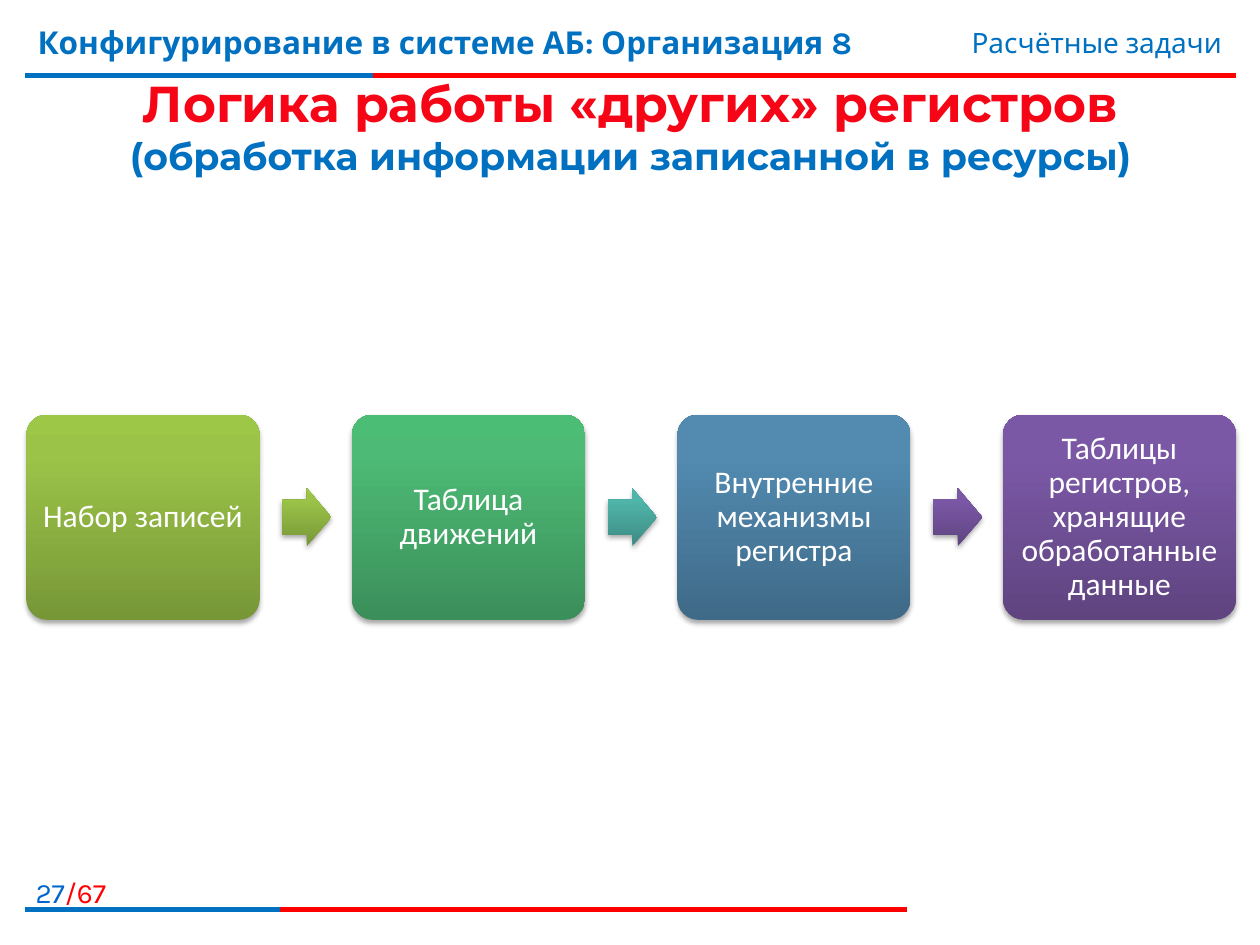
from dataclasses import dataclass

from lxml import etree
from pptx import Presentation
from pptx.dml.color import RGBColor
from pptx.enum import shapes, text
from pptx.oxml import ns
from pptx.util import Inches, Pt


@dataclass(frozen=True)
class Theme:
    blue: str = "0070C0"
    number_blue: str = "0066CC"
    red: str = "FF0000"
    title_red: str = "F50516"
    title_dark: str = "C00000"
    white: str = "FFFFFF"
    header_font: str = "Karla"
    title_font: str = "Montserrat"
    body_font: str = "Calibri"
    small: float = 16
    body: float = 18
    subtitle: float = 21.6
    title: float = 28.8
    # Gradients run from the bottom edge to the top
    green: tuple = ("779737", "9BC348", "9DC746")
    emerald: tuple = ("3B8F5A", "4DBA75", "4BBD75")
    teal: tuple = ("3D8B83", "50B5AA", "4EB8AC")
    steel: tuple = ("3F6A88", "528AB0", "518BB3")
    purple: tuple = ("5F4480", "7B58A6", "7C57A8")


T = Theme()

STEPS = [
    ("Набор записей", T.green),
    ("Таблица движений", T.emerald),
    ("Внутренние механизмы регистра", T.steel),
    ("Таблицы регистров, хранящие обработанные данные", T.purple),
]
ARROWS = [T.green, T.teal, T.purple]

LEFT, RIGHT = 0.21, 9.81
BOX_W, BOX_H, BOX_TOP = 1.85, 1.63, 3.29
ARROW_W, ARROW_H, ARROW_OFFSET = 0.39, 0.46, 2.03


def style(r, font, size, color, bold=False):
    r.font.name = font
    r.font.size = Pt(size)
    r.font.bold = bold
    r.font.color.rgb = RGBColor.from_string(color)


def add_rule(s, y, end, color):
    line = s.shapes.add_connector(
        shapes.MSO_CONNECTOR.STRAIGHT, Inches(0.2), Inches(y), Inches(end), Inches(y))
    line.line.color.rgb = RGBColor.from_string(color)
    line.line.width = Pt(3)
    etree.SubElement(line._element.spPr, ns.qn("a:effectLst"))


def add_two_tone_rule(s, y, end, blue_end):
    add_rule(s, y, end, T.red)
    add_rule(s, y, blue_end, T.blue)


def add_label(s, box, runs, size, align=text.PP_ALIGN.LEFT, bold=False):
    """Add a one-line text box; runs is a list of (text, colour)."""
    tf = s.shapes.add_textbox(*map(Inches, box)).text_frame
    tf.word_wrap = True
    p = tf.paragraphs[0]
    p.alignment = align
    for words, color in runs:
        r = p.add_run()
        r.text = words
        style(r, T.header_font, size, color, bold)


def add_glossy_shape(s, kind, box, colors, adjustments):
    """Add a preset shape with a vertical gradient and a soft shadow below."""
    sp = s.shapes.add_shape(kind, *map(Inches, box))
    for i, value in enumerate(adjustments):
        sp.adjustments[i] = value
    sp.line.fill.background()
    stops = "".join(
        f'<a:gs pos="{pos * 1000}"><a:srgbClr val="{color}"/></a:gs>'
        for pos, color in zip((0, 80, 100), colors))
    grad = etree.fromstring(
        f'<a:gradFill {ns.nsdecls("a")} rotWithShape="1"><a:gsLst>{stops}</a:gsLst>'
        '<a:lin ang="16200000" scaled="0"/></a:gradFill>')
    shadow = etree.fromstring(
        f'<a:effectLst {ns.nsdecls("a")}><a:outerShdw blurRad="{Pt(3.1)}" '
        f'dist="{Pt(1.8)}" dir="5400000" rotWithShape="0"><a:srgbClr val="000000">'
        '<a:alpha val="35000"/></a:srgbClr></a:outerShdw></a:effectLst>')
    sp_pr = sp._element.spPr
    sp_pr.find(ns.qn("a:prstGeom")).addnext(grad)
    sp_pr.append(shadow)
    return sp


def add_step(s, x, words, colors):
    sp = add_glossy_shape(s, shapes.MSO_SHAPE.ROUNDED_RECTANGLE,
                          (x, BOX_TOP, BOX_W, BOX_H), colors, [0.1])
    tf = sp.text_frame
    tf.word_wrap = True
    tf.vertical_anchor = text.MSO_ANCHOR.MIDDLE
    tf.margin_left = tf.margin_right = Inches(0.07)
    tf.margin_top = tf.margin_bottom = Inches(0.07)
    tf.text = words
    p = tf.paragraphs[0]
    p.alignment = text.PP_ALIGN.CENTER
    p.line_spacing = 0.9
    style(p.runs[0], T.body_font, T.body, T.white)


def add_process(s):
    pitch = (RIGHT - LEFT - BOX_W) / (len(STEPS) - 1)
    arrow_top = BOX_TOP + (BOX_H - ARROW_H) / 2
    for i, (words, colors) in enumerate(STEPS):
        add_step(s, LEFT + i * pitch, words, colors)
    for i, colors in enumerate(ARROWS):
        box = (LEFT + i * pitch + ARROW_OFFSET, arrow_top, ARROW_W, ARROW_H)
        add_glossy_shape(s, shapes.MSO_SHAPE.RIGHT_ARROW, box, colors, [0.6, 0.5])


def set_title(s, heading, subheading):
    sp = s.shapes.title
    sp.left, sp.top, sp.width, sp.height = map(Inches, (0.2, 0.6, 9.61, 0.79))
    tf = sp.text_frame
    tf.text = f"{heading}\v{subheading}"
    tf.word_wrap = True
    tf.auto_size = text.MSO_AUTO_SIZE.NONE
    tf.vertical_anchor = text.MSO_ANCHOR.MIDDLE
    p = tf.paragraphs[0]
    p.alignment = text.PP_ALIGN.CENTER
    top, bottom = p.runs
    style(top, T.title_font, T.title, T.title_red, bold=True)
    style(bottom, T.title_font, T.subtitle, T.blue, bold=True)
    fill = top.font.fill
    fill.gradient()
    fill.gradient_angle = 270
    stops = ((0.55, T.title_red), (0.86, T.title_dark))
    for stop, (position, color) in zip(fill.gradient_stops, stops):
        stop.position = position
        stop.color.rgb = RGBColor.from_string(color)


def main():
    prs = Presentation()
    prs.slide_width, prs.slide_height = Inches(10), Inches(7.5)
    s = prs.slides.add_slide(prs.slide_layouts[5])
    right = text.PP_ALIGN.RIGHT

    add_two_tone_rule(s, 0.6, 9.81, 2.96)
    add_label(s, (0, 6.9, 0.94, 0.32), [("27", T.number_blue), ("/67", T.red)],
              T.small, right)
    add_two_tone_rule(s, 7.22, 7.2, 2.22)
    add_label(s, (0.2, 0.13, 7.4, 0.62),
              [("Конфигурирование в системе АБ: Организация 8", T.blue)],
              T.body, bold=True)
    add_label(s, (5.94, 0.15, 3.86, 0.37), [("Расчётные задачи", T.blue)],
              T.small, right)
    add_process(s)
    set_title(s, "Логика работы «других» регистров",
              "(обработка информации записанной в ресурсы)")
    prs.save("out.pptx")


if __name__ == "__main__":
    main()
